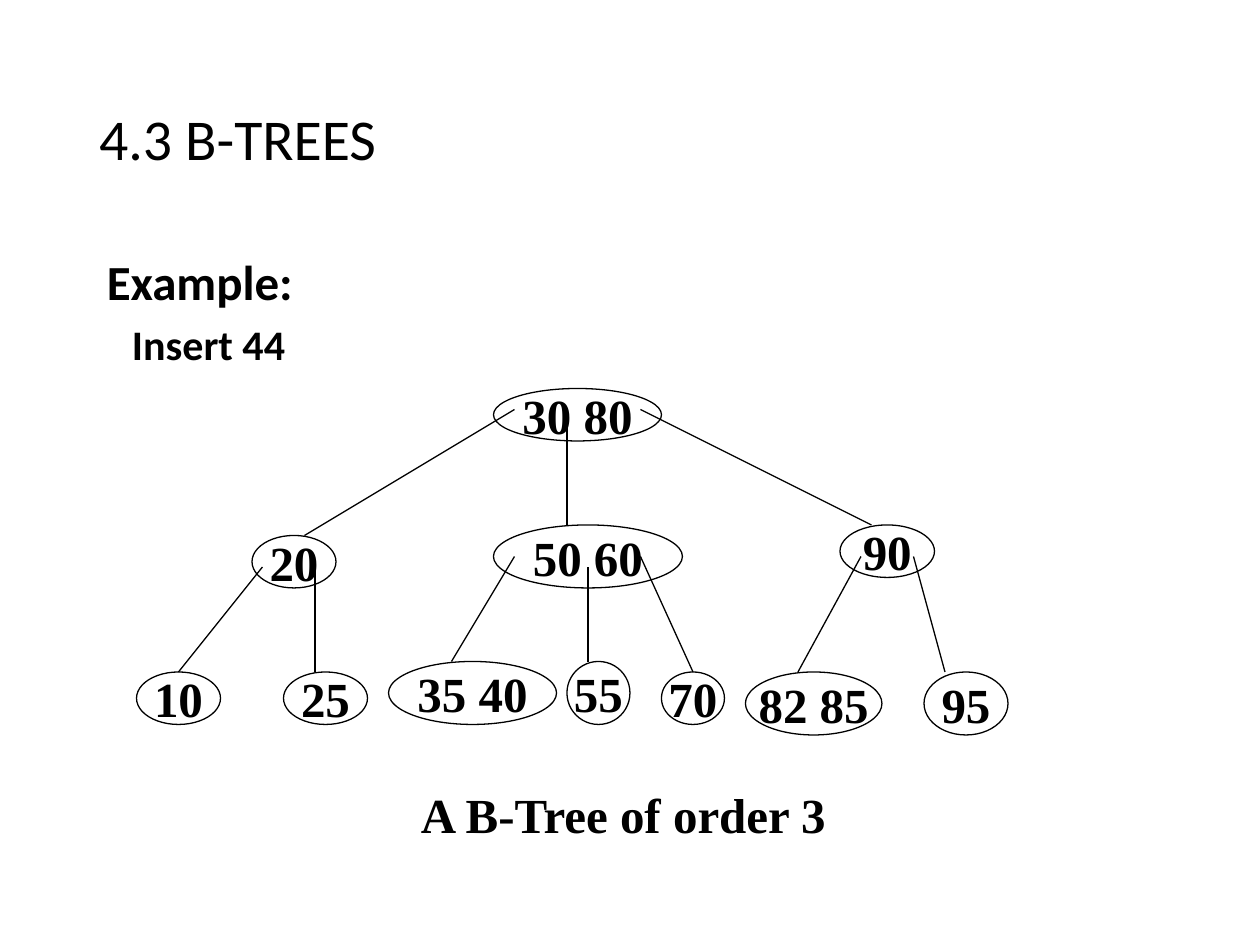
from lxml import etree
from pptx import Presentation
from pptx.dml.color import RGBColor
from pptx.enum import shapes, text
from pptx.oxml import ns
from pptx.util import Inches, Pt

BLACK = "000000"
SANS, SERIF = "Calibri", "Times New Roman"


def tint(code):
    return RGBColor.from_string(code)


class Page:
    """Style and current slide; lengths are units of a 120 x 90 grid."""
    cols, rows = 120, 90

    def __init__(self, deck):
        self.wide, self.high = deck.slide_width, deck.slide_height
        self.slide = deck.slides.add_slide(deck.slide_layouts[1])
        self.group = self.slide.shapes.add_group_shape()

    def grid(self, x, y):
        return round(x * self.wide / self.cols), round(y * self.high / self.rows)

    def place(self, shape, x, y, w, h):
        shape.left, shape.top = self.grid(x, y)
        shape.width, shape.height = self.grid(w, h)

    def style(self, para, size, face, bold=False, align=text.PP_ALIGN.LEFT):
        para.alignment = align
        font = para.font
        font.size, font.name, font.bold = Pt(size), face, bold
        font.color.rgb = tint(BLACK)

    def title(self, words, *box):
        shape = self.slide.shapes.title
        self.place(shape, *box)
        shape.text_frame.text = words
        para = shape.text_frame.paragraphs[0]
        para.line_spacing = 0.9
        self.style(para, 33, SANS)

    def body(self, items, *box):
        shape = self.slide.placeholders[1]
        self.place(shape, *box)
        frame = shape.text_frame
        frame.auto_size = text.MSO_AUTO_SIZE.NONE
        frame.text = "\n".join(words for words, _, _ in items)
        for i, (para, item) in enumerate(zip(frame.paragraphs, items)):
            _, size, dent = item
            props = para._p.get_or_add_pPr()
            props.set("marL", str(Inches(dent)))
            props.set("indent", "0")
            etree.SubElement(props, ns.qn("a:buNone"))
            para.line_spacing = 0.9
            para.space_before = Pt(7.5 if i else 0)
            self.style(para, size, SANS, True)

    def node(self, words, x, y, w, h):
        oval = self.group.shapes.add_shape(
            shapes.MSO_SHAPE.OVAL, *self.grid(x, y), *self.grid(w, h))
        oval.shadow.inherit = False
        oval.fill.background()
        self.ink(oval)
        frame = oval.text_frame
        frame.word_wrap = False
        frame.vertical_anchor = text.MSO_ANCHOR.MIDDLE
        frame.text = words
        self.style(frame.paragraphs[0], 28, SERIF, True, text.PP_ALIGN.CENTER)

    def edge(self, x1, y1, x2, y2):
        line = self.group.shapes.add_connector(
            shapes.MSO_CONNECTOR.STRAIGHT, *self.grid(x1, y1), *self.grid(x2, y2))
        self.ink(line)
        etree.SubElement(line._element.spPr, ns.qn("a:effectLst"))

    def ink(self, shape):
        shape.line.color.rgb = tint(BLACK)
        shape.line.width = Pt(0.75)

    def label(self, words, x, y, w, h):
        box = self.slide.shapes.add_textbox(*self.grid(x, y), *self.grid(w, h))
        box.text_frame.word_wrap = False
        box.text_frame.text = words
        self.style(box.text_frame.paragraphs[0], 28, SERIF, True)


# Keys and oval of each tree node, level by level
NODES = [
    ("30 80", 47, 37, 16, 5),
    ("20", 24, 51, 8, 5), ("50 60", 47, 50, 18, 6), ("90", 80, 50, 9, 5),
    ("10", 13, 64, 8, 5), ("25", 27, 64, 8, 5),
    ("35 40", 37, 63, 16, 6), ("55", 54, 63, 6, 6), ("70", 63, 64, 6, 5),
    ("82 85", 71, 64, 13, 6), ("95", 88, 64, 8, 6),
]

# Parent end and child end of each edge
EDGES = [
    (49, 39, 29, 51), (54, 40, 54, 50), (61, 39, 83, 50),
    (25, 54, 17, 64), (30, 54, 30, 64),
    (49, 53, 43, 63), (56, 54, 56, 63), (61, 53, 66, 64),
    (82, 53, 76, 64), (87, 53, 90, 64),
]


def main():
    deck = Presentation()
    deck.slide_width, deck.slide_height = Inches(10), Inches(7.5)
    page = Page(deck)

    # Heading and step
    page.title("4.3 B-TREES", 8.25, 4.8, 103.5, 17.4)
    page.body([("Example:", 28, 0.06), ("Insert 44", 24, 0.26)],
              8.25, 24, 103.5, 57)

    # Tree
    for node in NODES:
        page.node(*node)
    for edge in EDGES:
        page.edge(*edge)

    # Caption
    page.label("A B-Tree of order 3", 38.9, 74.1, 41.8, 6.8)

    deck.save("out.pptx")


if __name__ == "__main__":
    main()
